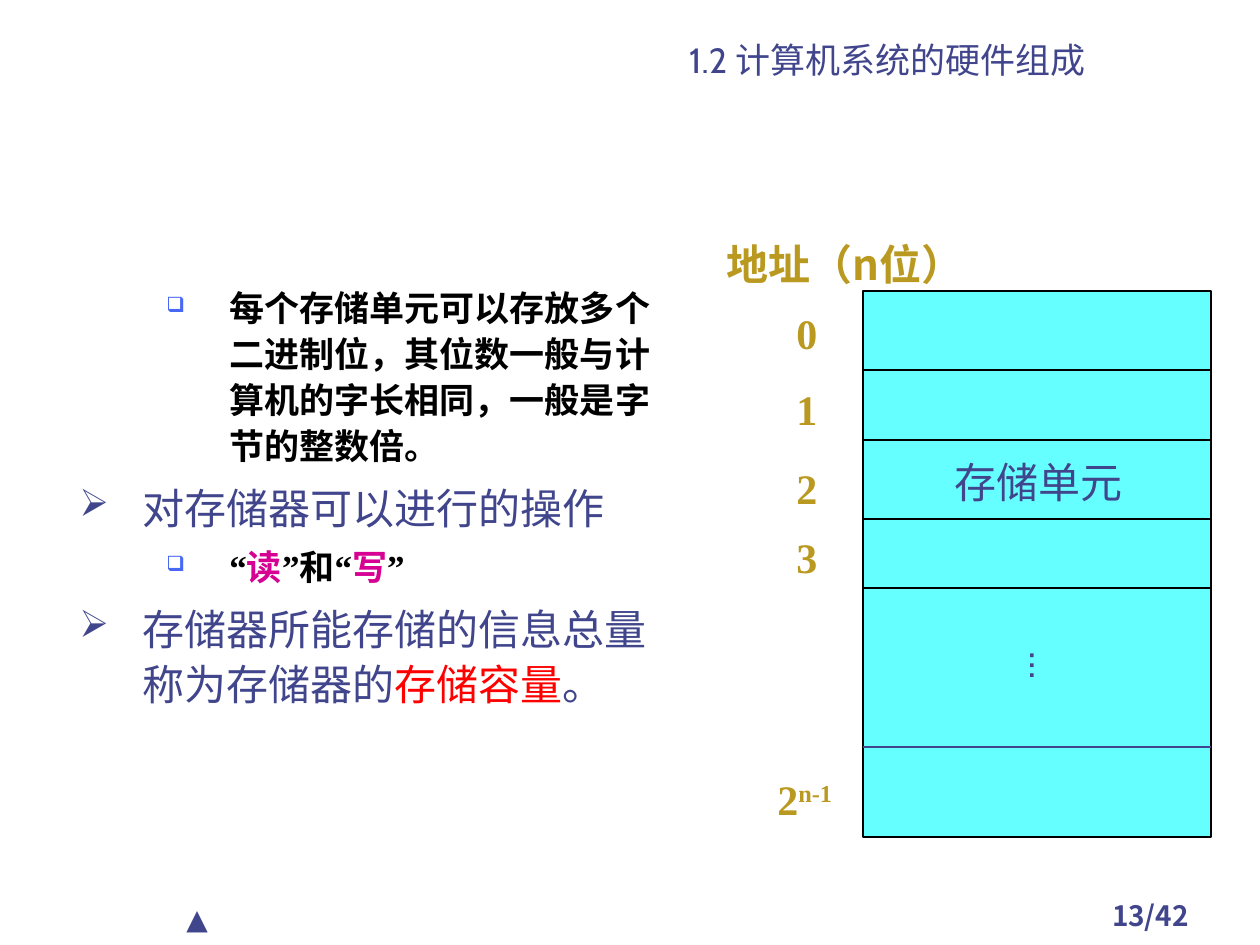
from dataclasses import dataclass

import lxml.etree
import pptx
import pptx.dml.color
import pptx.enum.shapes
import pptx.enum.text
import pptx.oxml.ns
import pptx.util

EMU_PER_PX = 914400 / 126
COLORS = {"ink": "40458C", "black": "000000", "cell": "66FFFF", "gold": "BA9921",
          "magenta": "D60093", "red": "FF0000", "bullet": "4768F5"}
SANS, CJK, SERIF = "Cabin", "Noto Sans CJK SC", "Times New Roman"
ALIGN = pptx.enum.text.PP_ALIGN
qn = pptx.oxml.ns.qn


@dataclass
class Run:
    text: str
    color: str = "ink"
    size: int = 24
    font: str = SANS
    bold: bool = False
    raised: bool = False


@dataclass
class Label:
    box: tuple[int, int, int, int]
    runs: list[Run]
    align: ALIGN = ALIGN.LEFT
    vertical: bool = False


@dataclass
class Level:
    margin: int
    before: int
    char: str
    color: str
    percent: int


TOPIC = Level(150, 6, "➢", "ink", 90)
DETAIL = Level(237, 5, "❑", "bullet", 60)
BULLET_INDENT = -63


def px(n: int) -> pptx.util.Emu:
    return pptx.util.Emu(round(n * EMU_PER_PX))


def rgb(name: str) -> pptx.dml.color.RGBColor:
    return pptx.dml.color.RGBColor.from_string(COLORS[name])


def add_runs(p, runs: list[Run]) -> None:
    for run in runs:
        r = p.add_run()
        r.text = run.text
        r.font.size = pptx.util.Pt(run.size)
        r.font.bold = run.bold
        r.font.name = run.font
        r.font.color.rgb = rgb(run.color)
        rPr = r.font._element
        rPr.set("lang", "zh-CN")
        lxml.etree.SubElement(rPr, qn("a:ea")).set("typeface", run.font)
        if run.raised:
            rPr.set("baseline", "30000")


def add_bullet(p, level: Level) -> None:
    pPr = p._p.get_or_add_pPr()
    pPr.set("marL", str(px(level.margin)))
    pPr.set("indent", str(px(BULLET_INDENT)))
    color = lxml.etree.SubElement(pPr, qn("a:buClr"))
    lxml.etree.SubElement(color, qn("a:srgbClr")).set("val", COLORS[level.color])
    lxml.etree.SubElement(pPr, qn("a:buSzPct")).set("val", str(level.percent * 1000))
    lxml.etree.SubElement(pPr, qn("a:buChar")).set("char", level.char)


def add_label(slide, label: Label) -> None:
    tf = slide.shapes.add_textbox(*map(px, label.box)).text_frame
    tf.word_wrap = True
    if label.vertical:
        tf._txBody.bodyPr.set("vert", "eaVert")
        tf.margin_left = tf.margin_right = pptx.util.Inches(0.05)
        tf.margin_top = tf.margin_bottom = pptx.util.Inches(0.1)
    p = tf.paragraphs[0]
    p.alignment = label.align
    add_runs(p, label.runs)


def add_title(slide) -> None:
    sp = slide.shapes.title
    sp.left, sp.top, sp.width, sp.height = map(px, (536, 34, 703, 53))
    tf = sp.text_frame
    tf.auto_size = pptx.enum.text.MSO_AUTO_SIZE.NONE
    tf.vertical_anchor = pptx.enum.text.MSO_ANCHOR.BOTTOM
    p = tf.paragraphs[0]
    p.alignment = ALIGN.CENTER
    add_runs(p, [Run("1.2 计算机系统的硬件组成", size=20)])


def add_body(slide, items: list[tuple[Level, list[Run]]]) -> None:
    tf = slide.shapes.add_textbox(*map(px, (-20, 276, 709, 462))).text_frame
    tf.word_wrap = True
    for i, (level, runs) in enumerate(items):
        p = tf.add_paragraph() if i else tf.paragraphs[0]
        add_bullet(p, level)
        p.line_spacing = 1.1
        if i:
            p.space_before = pptx.util.Pt(level.before)
        add_runs(p, runs)


def add_memory(slide, left: int, width: int, edges: list[int]) -> None:
    """Draw the memory block; edges are the row borders from top to bottom."""
    top, *dividers, bottom = edges
    sp = slide.shapes.add_shape(pptx.enum.shapes.MSO_SHAPE.RECTANGLE,
                                *map(px, (left, top, width, bottom - top)))
    sp.shadow.inherit = False
    sp.fill.solid()
    sp.fill.fore_color.rgb = rgb("cell")
    sp.line.color.rgb = rgb("black")
    sp.line.width = pptx.util.Pt(0.75)
    for y in dividers:
        line = slide.shapes.add_connector(pptx.enum.shapes.MSO_CONNECTOR.STRAIGHT,
                                          *map(px, (left, y, left + width, y)))
        line.line.color.rgb = rgb("ink" if y == dividers[-1] else "black")
        line.line.width = pptx.util.Pt(0.75)
        lxml.etree.SubElement(line._element.spPr, qn("a:effectLst"))


def detail(text: str, color: str = "black", font: str = SANS) -> Run:
    return Run(text, color, 20, font, True)


def address(text: str, raised: bool = False) -> Run:
    return Run(text, "gold", 24, SERIF, True, raised)


def quoted(text: str) -> list[Run]:
    return [detail("“", font=SERIF), detail(text, "magenta"), detail("”", font=SERIF)]


BODY = [
    (DETAIL, [detail("每个存储单元可以存放多个二进制位，其位数一般与计算机的字长相同，一般是字节的整数倍。")]),
    (TOPIC, [Run("对存储器可以进行的操作")]),
    (DETAIL, [*quoted("读"), detail("和"), *quoted("写")]),
    (TOPIC, [Run("存储器所能存储的信息总量称为存储器的"), Run("存储容量", "red"), Run("。")]),
]
LABELS = [
    Label((1061, 892, 179, 42), [Run("13/42", size=16, font=CJK, bold=True)], ALIGN.CENTER),
    Label((174, 895, 179, 47), [Run("▲", size=16)]),
    Label((942, 450, 228, 63), [Run("存储单元")]),
    Label((1003, 639, 76, 129), [Run("…")], vertical=True),
    Label((714, 232, 297, 63), [Run("地址（n位）", "gold", font=CJK, bold=True)]),
    *(Label((784, y, 79, 63), [address(str(n))]) for n, y in enumerate((301, 377, 456, 525))),
    Label((765, 767, 131, 63), [address("2"), address("n-1", raised=True)]),
]


def main() -> None:
    prs = pptx.Presentation()
    prs.slide_width, prs.slide_height = px(1260), px(945)
    slide = prs.slides.add_slide(prs.slide_layouts[5])
    add_title(slide)
    add_body(slide, BODY)
    add_memory(slide, 863, 348, [291, 370, 440, 519, 588, 747, 837])
    for label in LABELS:
        add_label(slide, label)
    prs.save("out.pptx")


if __name__ == "__main__":
    main()
